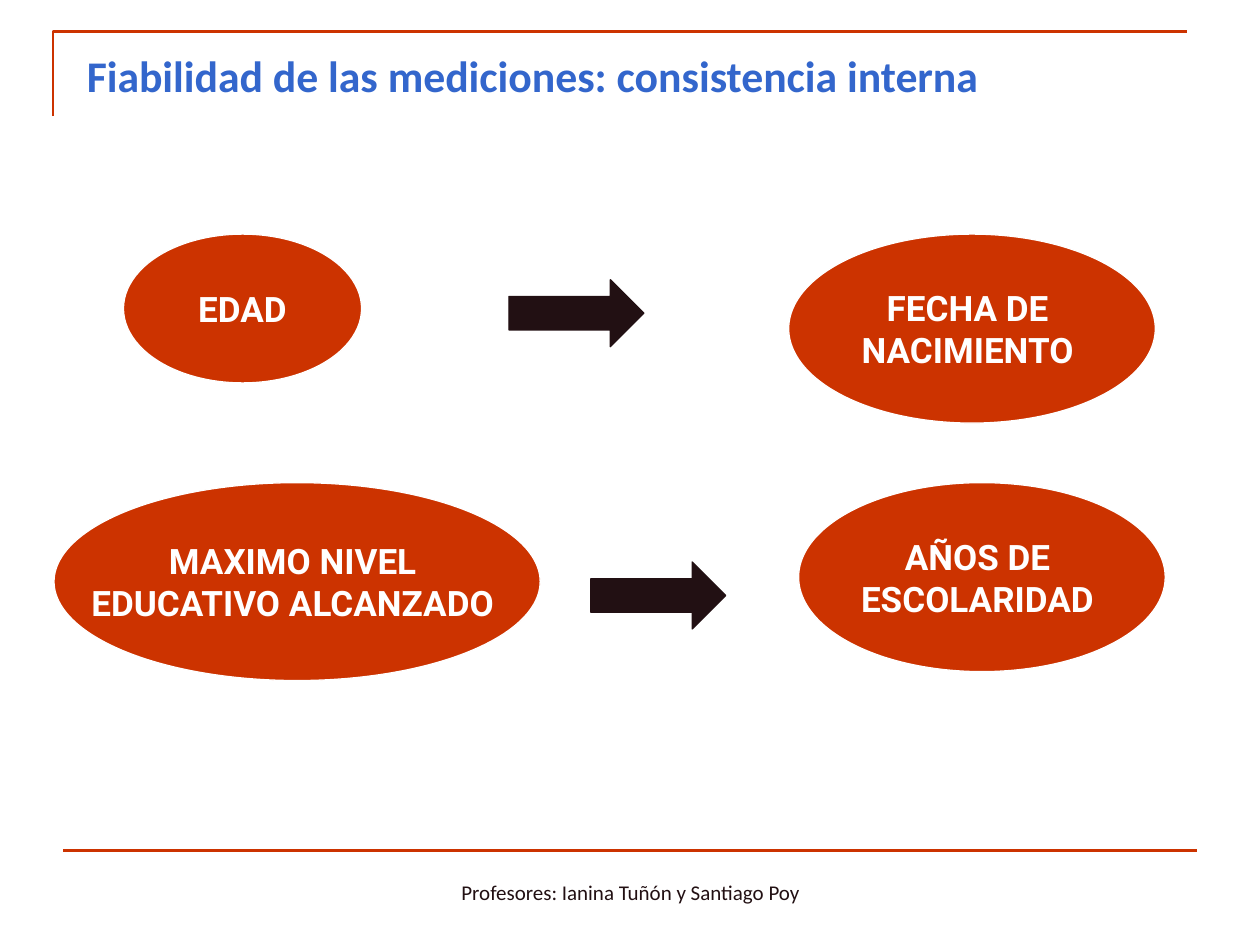
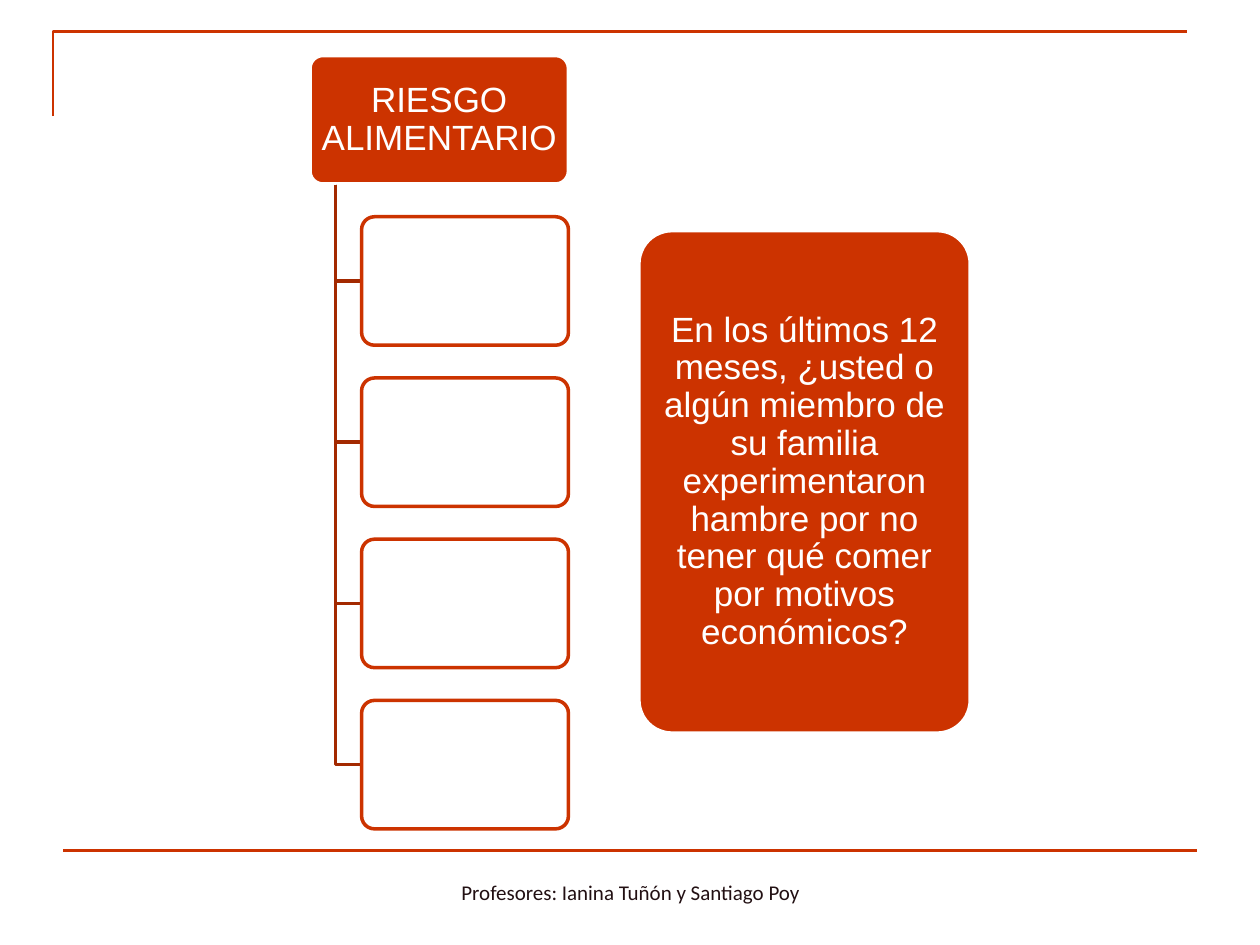
from dataclasses import dataclass

import pptx
import pptx.dml.color
import pptx.enum.shapes
import pptx.enum.text
import pptx.oxml.ns
import pptx.util
from lxml import etree
from pptx.dml.color import RGBColor
from pptx.enum.shapes import MSO_SHAPE
from pptx.enum.text import MSO_ANCHOR, PP_ALIGN
from pptx.util import Cm, Pt

ORANGE = RGBColor(0xCC, 0x33, 0x00)
RUST = RGBColor(0xA3, 0x29, 0x00)
BLUE = RGBColor(0x33, 0x66, 0xCC)
DARK = RGBColor(0x22, 0x10, 0x13)
WHITE = RGBColor(0xFF, 0xFF, 0xFF)


@dataclass(frozen=True)
class Frame:
    """Position and size in centimetres."""
    left: float
    top: float
    width: float
    height: float

    def lengths(self) -> tuple:
        return Cm(self.left), Cm(self.top), Cm(self.width), Cm(self.height)


@dataclass(frozen=True)
class TextStyle:
    font: str
    size: float
    color: RGBColor
    bold: bool = False
    align: PP_ALIGN = PP_ALIGN.CENTER
    anchor: MSO_ANCHOR = MSO_ANCHOR.MIDDLE
    wrap: bool = True
    line_spacing: float = 1.0


@dataclass(frozen=True)
class Concept:
    frame: Frame
    text: str


TITLE = TextStyle("Calibri", 25, BLUE, bold=True, align=PP_ALIGN.LEFT, anchor=MSO_ANCHOR.TOP)
FOOTER = TextStyle("Calibri", 12, DARK)
CONCEPT = TextStyle("Roboto", 20, WHITE, bold=True, wrap=False)
CARD = TextStyle("Arial", 20, WHITE, line_spacing=0.9)


def write(shape, text: str, style: TextStyle) -> None:
    text_frame = shape.text_frame
    text_frame.text = text
    text_frame.word_wrap = style.wrap
    text_frame.vertical_anchor = style.anchor
    for para in text_frame.paragraphs:
        para.alignment = style.align
        para.line_spacing = style.line_spacing
        for span in para.runs:
            span.font.name = style.font
            span.font.size = Pt(style.size)
            span.font.bold = style.bold
            span.font.color.rgb = style.color


def add_text(page, frame: Frame, text: str, style: TextStyle) -> None:
    write(page.shapes.add_textbox(*frame.lengths()), text, style)


def add_block(page, kind: MSO_SHAPE, frame: Frame, fill: RGBColor, line: RGBColor, width: float):
    block = page.shapes.add_shape(kind, *frame.lengths())
    block.shadow.inherit = False
    block.fill.solid()
    block.fill.fore_color.rgb = fill
    block.line.color.rgb = line
    block.line.width = Pt(width)
    return block


def add_card(page, frame: Frame, fill: RGBColor, line: RGBColor, text: str = "") -> None:
    card = add_block(page, MSO_SHAPE.ROUNDED_RECTANGLE, frame, fill, line, 2)
    card.adjustments[0] = 0.1
    if text:
        text_frame = card.text_frame
        text_frame.margin_left = text_frame.margin_right = Cm(0.1)
        text_frame.margin_top = text_frame.margin_bottom = Cm(0.08)
        write(card, text, CARD)


def add_polyline(page, points: list[tuple[float, float]], color: RGBColor, width: float) -> None:
    start, *rest = [(Cm(x), Cm(y)) for x, y in points]
    builder = page.shapes.build_freeform(*start)
    builder.add_line_segments(rest, close=False)
    outline = builder.convert_to_shape()
    outline.shadow.inherit = False
    outline.fill.background()
    outline.line.color.rgb = color
    outline.line.width = Pt(width)


def add_rule(page, left: float, right: float, y: float) -> None:
    rule = page.shapes.add_connector(
        pptx.enum.shapes.MSO_CONNECTOR.STRAIGHT, Cm(left), Cm(y), Cm(right), Cm(y))
    rule.line.color.rgb = ORANGE
    rule.line.width = Pt(1.5)
    etree.SubElement(rule._element.spPr, pptx.oxml.ns.qn("a:effectLst"))


def add_page(deck):
    """Blank page with the shared corner, rule and footer."""
    page = deck.slides.add_slide(deck.slide_layouts[6])
    add_polyline(page, [(1.07, 2.34), (1.07, 0.64), (23.93, 0.64)], ORANGE, 1.5)
    add_rule(page, 1.27, 24.13, 17.15)
    add_text(page, Frame(8.69, 17.35, 8.05, 1.27),
             "Profesores: Ianina Tuñón y Santiago Poy", FOOTER)
    return page


def build_consistency(deck) -> None:
    page = add_page(deck)
    add_text(page, Frame(1.5, 0.86, 21.64, 3.18),
             "Fiabilidad de las mediciones: consistencia interna", TITLE)

    # Pairs of equivalent measures
    first_row, second_row = 4.72, 9.73
    concepts = [
        Concept(Frame(2.49, first_row, 4.8, 3), "EDAD"),
        Concept(Frame(15.9, first_row, 7.39, 3.81), "FECHA DE \nNACIMIENTO "),
        Concept(Frame(1.09, second_row, 9.8, 3.99), "MAXIMO NIVEL \nEDUCATIVO ALCANZADO "),
        Concept(Frame(16.1, second_row, 7.39, 3.81), "AÑOS DE \nESCOLARIDAD "),
    ]
    for concept in concepts:
        oval = add_block(page, MSO_SHAPE.OVAL, concept.frame, ORANGE, WHITE, 0.75)
        write(oval, concept.text, CONCEPT)

    # Arrows between the pairs
    for left, top in [(10.26, 5.64), (11.91, 11.33)]:
        add_block(page, MSO_SHAPE.RIGHT_ARROW, Frame(left, top, 2.72, 1.35), DARK, DARK, 0.75)


def build_food_risk(deck) -> None:
    page = add_page(deck)
    card_height = 2.59
    add_card(page, Frame(6.25, 1.12, 5.21, card_height), ORANGE, WHITE, "RIESGO ALIMENTARIO ")

    # Empty branches hanging from the root card
    trunk_x, trunk_top, branch_x = 6.76, 3.72, 7.29
    for index in range(4):
        top = 4.37 + index * 3.25
        middle = top + card_height / 2
        add_polyline(page, [(trunk_x, trunk_top), (trunk_x, middle), (branch_x, middle)], RUST, 2)
        add_card(page, Frame(branch_x, top, 4.17, card_height), WHITE, ORANGE)

    # Survey question
    add_card(page, Frame(12.88, 4.65, 6.68, 10.13), ORANGE, WHITE,
             "En los últimos 12 meses, ¿usted o algún miembro de su familia experimentaron "
             "hambre por no tener qué comer por motivos económicos?")


def main() -> None:
    deck = pptx.Presentation()
    deck.slide_width, deck.slide_height = Cm(25.4), Cm(19.05)
    build_consistency(deck)
    build_food_risk(deck)
    deck.save("out.pptx")


if __name__ == "__main__":
    main()
